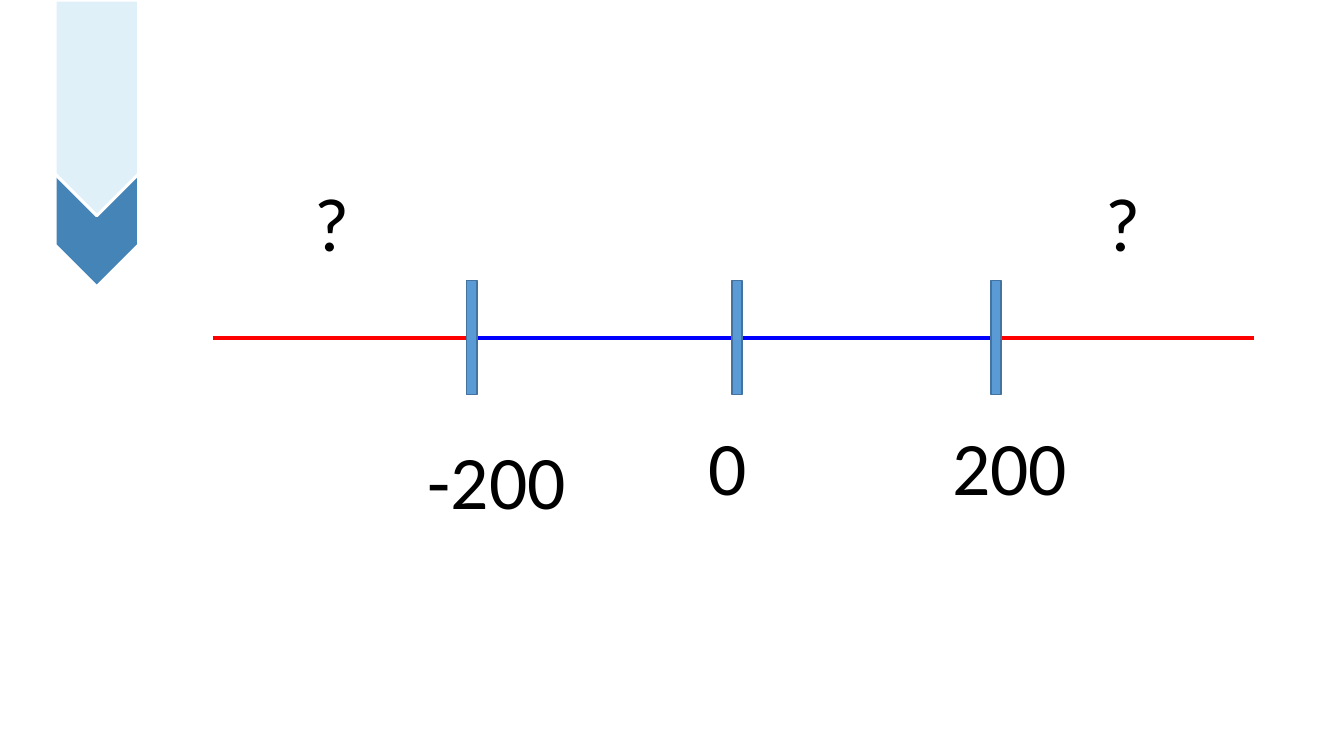
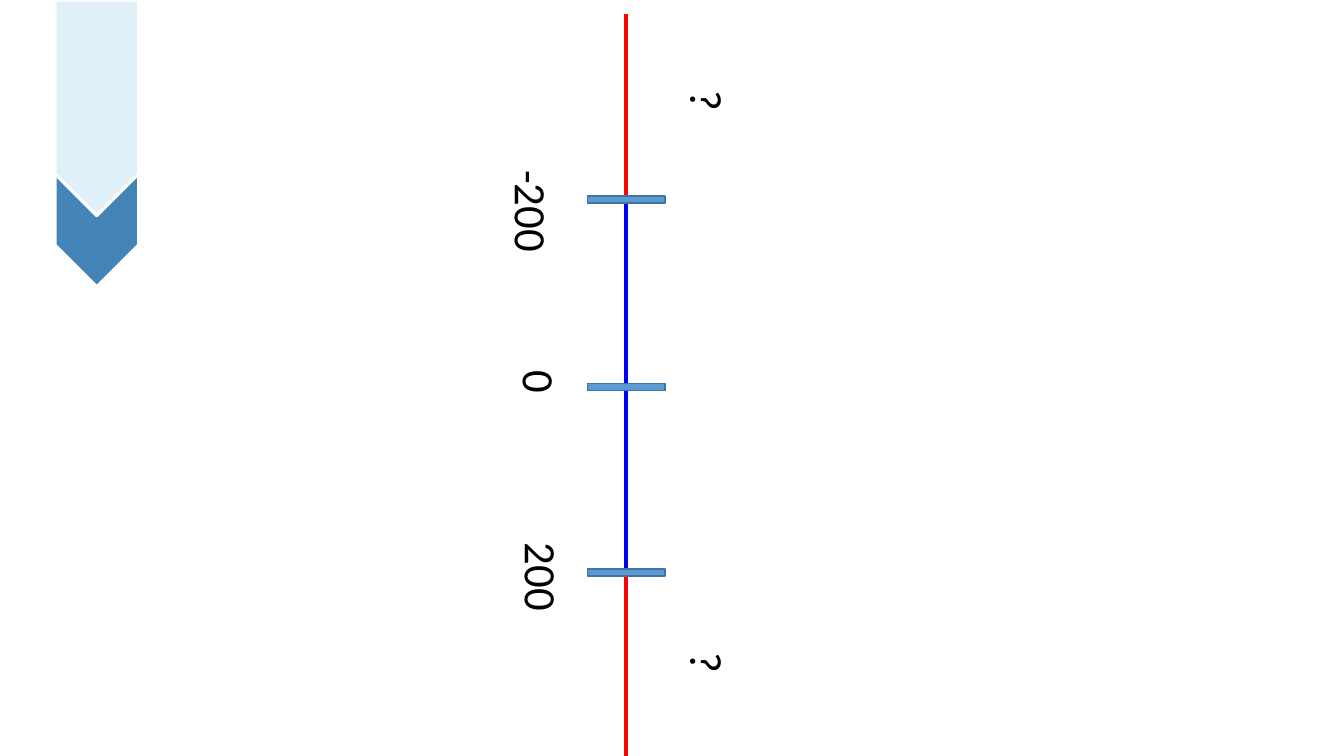
from itertools import pairwise

from pptx import Presentation
from pptx.dml.color import RGBColor
from pptx.enum.shapes import MSO_CONNECTOR, MSO_SHAPE
from pptx.enum.text import MSO_AUTO_SIZE
from pptx.oxml.ns import qn
from pptx.util import Inches, Pt

WHITE = RGBColor(0xFF, 0xFF, 0xFF)
BLACK = RGBColor(0, 0, 0)
RED = RGBColor(0xFF, 0, 0)
BLUE = RGBColor(0, 0, 0xFF)
TICK_FILL = RGBColor(0x5B, 0x9B, 0xD5)
TICK_EDGE = RGBColor(0x43, 0x73, 0x9E)
BANNER_DARK = RGBColor(0x45, 0x84, 0xB7)
BANNER_PALE = RGBColor(0xDF, 0xF0, 0xF9)
FONT = "Calibri"
SEGMENT_COLORS = (RED, BLUE, BLUE, RED)

# Banner arrows: centre, length and colour
BANNER_CENTER_X, BANNER_WIDTH = 0.96, 0.83
BANNER_ARROWS = [(1.91, 1.87, BANNER_DARK), (1.07, 2.14, BANNER_PALE)]

# Distances run along the number line and across it.
# stops: start, three ticks, end; labels: text, centre along, centre across, width
NUMBER_LINES = [
    {
        "vertical": False, "axis": 3.35, "tick": (0.10, 1.13),
        "stops": (2.11, 4.68, 7.31, 9.88, 12.44),
        "font_size": 54, "label_height": 1.01,
        "labels": [("0", 7.22, 4.62, 0.59), ("200", 10.02, 4.62, 1.35),
                   ("-200", 4.94, 4.76, 1.59),
                   ("?", 3.30, 2.20, 0.55), ("?", 11.14, 2.20, 0.55)],
    },
    {
        "vertical": True, "axis": 6.21, "tick": (0.07, 0.77),
        "stops": (0.14, 1.98, 3.84, 5.68, 7.50),
        "font_size": 32, "label_height": 0.64,
        "labels": [("0", 3.79, 5.36, 0.43), ("200", 5.73, 5.38, 0.89),
                   ("-200", 2.10, 5.28, 1.02),
                   ("?", 1.00, 7.02, 0.41), ("?", 6.58, 7.02, 0.41)],
    },
]


def frame(center, size):
    """Return left, top, width and height of a box around its centre."""
    (x, y), (width, height) = center, size
    return [Inches(value) for value in (x - width / 2, y - height / 2, width, height)]


def add_filled(page, preset, center, size, fill, edge, edge_width, vertical):
    shape = page.shapes.add_shape(preset, *frame(center, size))
    shape.rotation = 90 if vertical else 0
    shape.shadow.inherit = False
    shape.fill.solid()
    shape.fill.fore_color.rgb = fill
    shape.line.color.rgb = edge
    shape.line.width = Pt(edge_width)


def add_banner(page):
    for center_y, length, color in BANNER_ARROWS:
        add_filled(page, MSO_SHAPE.PENTAGON, (BANNER_CENTER_X, center_y),
                   (length, BANNER_WIDTH), color, WHITE, 2.25, True)


def add_segment(page, start, end, color):
    line = page.shapes.add_connector(
        MSO_CONNECTOR.STRAIGHT, *[Inches(value) for value in (*start, *end)])
    line.line.color.rgb = color
    line.line.width = Pt(3)
    properties = line._element.spPr
    properties.append(properties.makeelement(qn("a:effectLst"), {}))


def add_label(page, text, center, size, font_size, vertical):
    box = page.shapes.add_textbox(*frame(center, size))
    box.rotation = 90 if vertical else 0
    text_frame = box.text_frame
    text_frame.word_wrap = False
    text_frame.auto_size = MSO_AUTO_SIZE.SHAPE_TO_FIT_TEXT
    text_frame.text = text
    font = text_frame.paragraphs[0].runs[0].font
    font.name = FONT
    font.size = Pt(font_size)
    font.color.rgb = BLACK


def add_number_line(page, number_line):
    vertical, axis = number_line["vertical"], number_line["axis"]
    stops = number_line["stops"]

    def point(along, across):
        return (across, along) if vertical else (along, across)

    for (start, end), color in zip(pairwise(stops), SEGMENT_COLORS):
        add_segment(page, point(start, axis), point(end, axis), color)
    for stop in stops[1:-1]:
        add_filled(page, MSO_SHAPE.RECTANGLE, point(stop, axis), number_line["tick"][::-1]
                   if vertical else number_line["tick"], TICK_FILL, TICK_EDGE, 1, False)
    for text, along, across, width in number_line["labels"]:
        add_label(page, text, point(along, across), (width, number_line["label_height"]),
                  number_line["font_size"], vertical)


def main():
    deck = Presentation()
    deck.slide_width, deck.slide_height = Inches(13.33), Inches(7.5)
    for number_line in NUMBER_LINES:
        page = deck.slides.add_slide(deck.slide_layouts[6])
        add_banner(page)
        add_number_line(page, number_line)
    deck.save("out.pptx")


if __name__ == "__main__":
    main()
